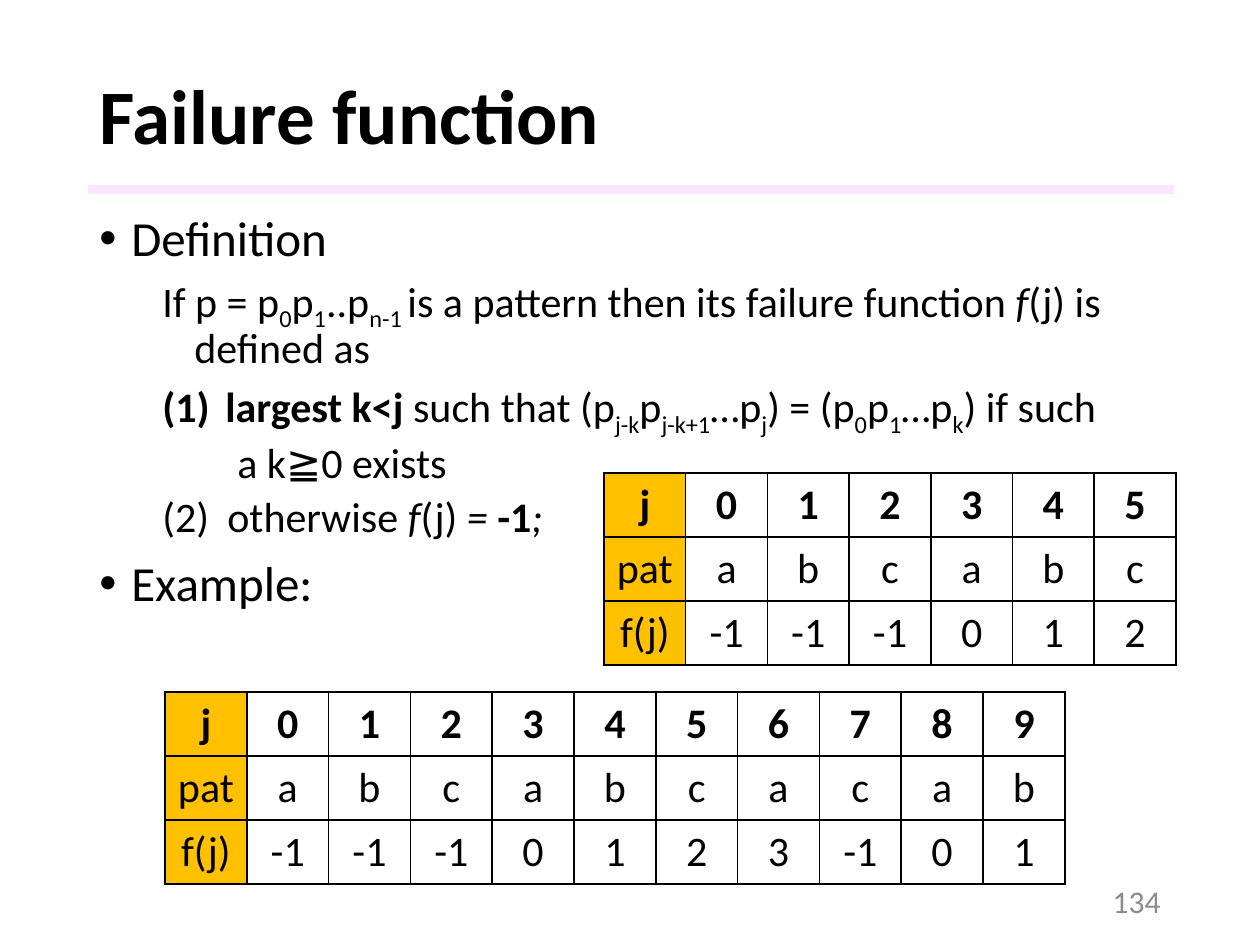
"""Build the failure function slide with its definition and two example tables."""
from lxml.etree import SubElement
from pptx import Presentation
from pptx.dml.color import RGBColor
from pptx.enum.shapes import MSO_SHAPE
from pptx.enum.text import MSO_ANCHOR, PP_ALIGN
from pptx.oxml.ns import qn
from pptx.util import Pt

SCALE = 914400 // 126
FONT, BLACK, GREY, LILAC, AMBER = "Calibri", "000000", "8C8C8C", "F3D2F4", "FFC000"
ROW_H = 64

TITLE = "Failure function"
DOT = ("buChar", {"char": "•"})
NUMBER = ("buAutoNum", {"type": "arabicParenBoth"})
NONE = ("buNone", {})

HEAD = dict(level=0, size=28, before=10, left=32, hang=-32, bullet=DOT)
PLAIN = dict(level=1, size=24, before=5, left=95, hang=-32, bullet=NONE)
ITEM = dict(PLAIN, left=126, hang=-63, bullet=NUMBER)
LAST_ITEM = dict(ITEM, left=128, hang=-65,
                 bullet=("buAutoNum", {"type": "arabicParenBoth", "startAt": "2"}))
CONTINUED = dict(PLAIN, left=138, hang=0)

BODY = [
    (HEAD, [("Definition", "")]),
    (PLAIN, [("If p = p", ""), ("0", "s"), ("p", ""), ("1", "s"), ("..p", ""), ("n-1 ", "s"),
             ("is a pattern then its failure function ", ""), ("f", "i"),
             ("(j) is defined as", "")]),
    (ITEM, [("largest k<j ", "b"), ("such that (p", ""), ("j-k", "s"), ("p", ""),
            ("j-k+1", "s"), ("…p", ""), ("j", "s"), (") = (p", ""), ("0", "s"), ("p", ""),
            ("1", "s"), ("…p", ""), ("k", "s"), (") if such", "")]),
    (CONTINUED, [("a k≧0 exists", "")]),
    (LAST_ITEM, [("otherwise ", ""), ("f", "i"), ("(j)", ""), (" = ", "i"), ("-1", "b"),
                 (";", "i")]),
    (HEAD, [("Example:", "")]),
]

TABLES = [
    ((165, 692, 900), "abcabcacab", [-1, -1, -1, 0, 1, 2, 3, -1, 0, 1]),
    ((604, 473, 572), "abcabc", [-1, -1, -1, 0, 1, 2]),
]


def px(n):
    return round(n * SCALE)


def color(value):
    return RGBColor.from_string(value)


def add_text(p, text, size=24, fill=BLACK, bold=False, italic=False, sub=False, align=None):
    if align is not None:
        p.alignment = align
    r = p.add_run()
    r.text = text
    r.font.name, r.font.size = FONT, Pt(size)
    r.font.bold, r.font.italic = bold, italic
    r.font.color.rgb = color(fill)
    if sub:
        r._r.get_or_add_rPr().set("baseline", "-25000")


def add_box(s, left, top, width, height):
    sp = s.shapes.add_textbox(px(left), px(top), px(width), px(height))
    sp.text_frame.word_wrap = True
    return sp.text_frame


def add_bar(s):
    sp = s.shapes.add_shape(MSO_SHAPE.RECTANGLE, px(88), px(185), px(1086), px(9))
    sp.shadow.inherit = False
    sp.line.fill.background()
    sp.fill.solid()
    sp.fill.fore_color.rgb = color(LILAC)
    SubElement(sp._element.spPr.find(".//" + qn("a:srgbClr")), qn("a:alpha"), val="50000")


def add_body(s):
    tf = add_box(s, 87, 208, 1086, 408)
    for n, (style, runs) in enumerate(BODY):
        p = tf.add_paragraph() if n else tf.paragraphs[0]
        p.level = style["level"]
        pPr = p._p.get_or_add_pPr()
        pPr.set("marL", str(px(style["left"])))
        pPr.set("indent", str(px(style["hang"])))
        tag, attrs = style["bullet"]
        if tag == "buChar":
            SubElement(pPr, qn("a:buFont"), typeface="Arial")
        SubElement(pPr, qn("a:" + tag), attrs)
        p.line_spacing = 0.9
        if n:
            p.space_before = Pt(style["before"])
        for text, marks in runs:
            add_text(p, text, size=style["size"], bold="b" in marks, italic="i" in marks,
                     sub="s" in marks)


def add_borders(cell):
    tcPr = cell._tc.get_or_add_tcPr()
    for side in ("lnL", "lnR", "lnT", "lnB"):
        ln = SubElement(tcPr, qn("a:" + side), w=str(Pt(1)))
        SubElement(SubElement(ln, qn("a:solidFill")), qn("a:srgbClr"), val=BLACK)


def add_failure_table(s, place, pattern, values):
    left, top, width = place
    rows = [["j", *range(len(pattern))], ["pat", *pattern], ["f(j)", *values]]
    cols = len(rows[0])
    table = s.shapes.add_table(len(rows), cols, px(left), px(top), px(width),
                               px(ROW_H * len(rows))).table
    table.first_row = table.horz_banding = False
    for col in table.columns:
        col.width = px(width / cols)
    for i, row in enumerate(rows):
        table.rows[i].height = px(ROW_H)
        for j, value in enumerate(row):
            cell = table.cell(i, j)
            add_borders(cell)
            if j == 0:
                cell.fill.solid()
                cell.fill.fore_color.rgb = color(AMBER)
            else:
                cell.fill.background()
            add_text(cell.text_frame.paragraphs[0], str(value), bold=i == 0,
                     align=PP_ALIGN.CENTER)


def main():
    prs = Presentation()
    prs.slide_width, prs.slide_height = px(1260), px(945)
    s = prs.slides.add_slide(prs.slide_layouts[5])
    add_bar(s)

    title = s.shapes.title
    title.left, title.top, title.width, title.height = px(87), px(50), px(1086), px(140)
    title.text_frame.vertical_anchor = MSO_ANCHOR.MIDDLE
    p = title.text_frame.paragraphs[0]
    p.line_spacing = 0.9
    add_text(p, TITLE, size=44, bold=True, align=PP_ALIGN.LEFT)

    add_body(s)
    tf = add_box(s, 890, 876, 283, 50)
    tf.vertical_anchor = MSO_ANCHOR.MIDDLE
    add_text(tf.paragraphs[0], "134", size=18, fill=GREY, align=PP_ALIGN.RIGHT)
    for place, pattern, values in TABLES:
        add_failure_table(s, place, pattern, values)
    prs.save("out.pptx")


if __name__ == "__main__":
    main()
